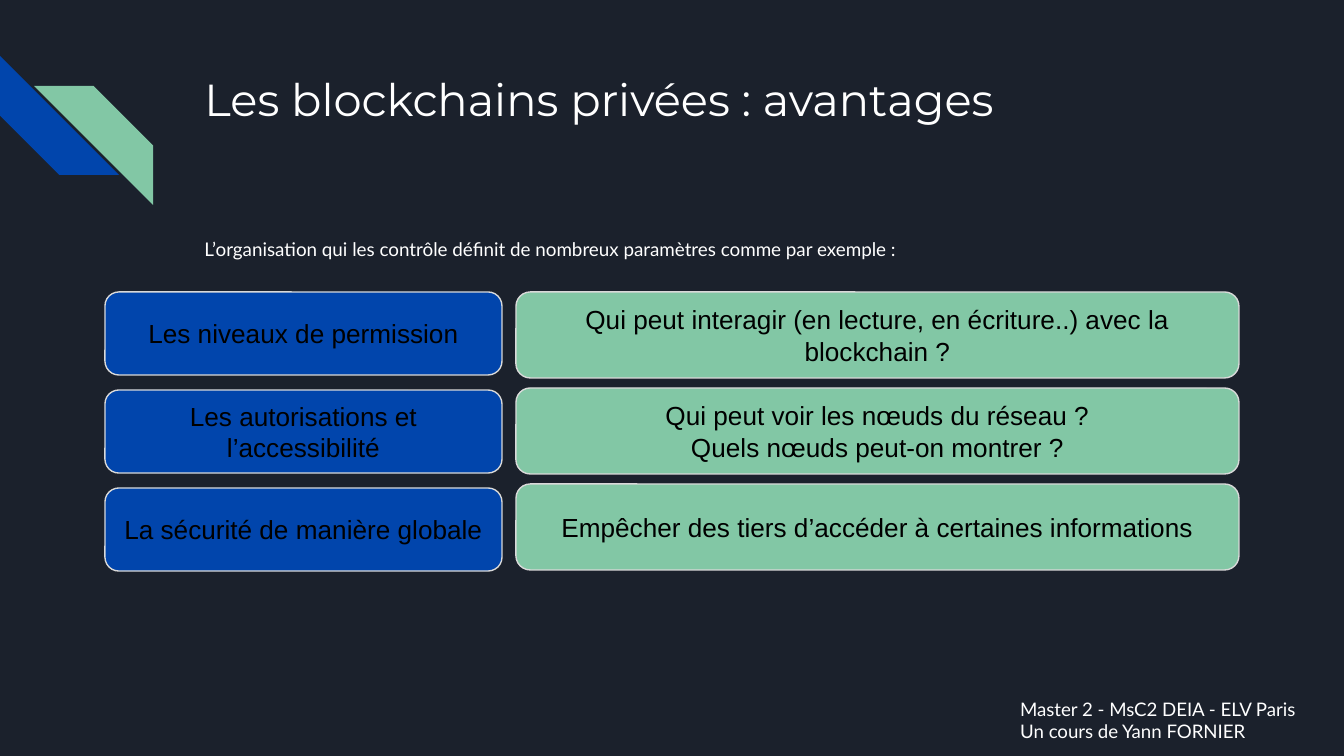
from dataclasses import dataclass

from pptx import Presentation
from pptx.dml.color import RGBColor
from pptx.enum.shapes import MSO_SHAPE as Shape
from pptx.enum.text import MSO_ANCHOR as Anchor, MSO_AUTO_SIZE as AutoSize, PP_ALIGN as Align
from pptx.oxml.ns import qn
from pptx.util import Emu, Pt

EMU_PER_PX = 914400 / 134.4
NAVY, BLUE, GREEN = "1B212C", "0145AC", "82C7A5"
WHITE, BLACK, GREY = "FFFFFF", "000000", "D9D9D9"


@dataclass
class Box:
    left: int
    top: int
    width: int
    height: int


@dataclass
class TextStyle:
    font: str
    size: float
    color: str
    align: Align = Align.LEFT
    anchor: Anchor = Anchor.TOP


@dataclass
class Column:
    left: int
    width: int
    height: int
    pitch: int
    color: str
    cards: list[str]


def px(length: int) -> Emu:
    return Emu(round(length * EMU_PER_PX))


def rgb(color: str) -> RGBColor:
    return RGBColor.from_string(color)


def emu(box: Box) -> tuple[Emu, Emu, Emu, Emu]:
    return px(box.left), px(box.top), px(box.width), px(box.height)


def place(placeholder, box: Box) -> None:
    placeholder.left, placeholder.top, placeholder.width, placeholder.height = emu(box)


def remove_bullet(paragraph) -> None:
    properties = paragraph._p.get_or_add_pPr()
    properties.set("marL", "0")
    properties.set("indent", "0")
    properties.append(properties.makeelement(qn("a:buNone"), {}))


def write(shape, text: str, style: TextStyle, auto_size: AutoSize = AutoSize.NONE) -> None:
    frame = shape.text_frame
    frame.text = text
    frame.word_wrap = True
    frame.auto_size = auto_size
    frame.vertical_anchor = style.anchor
    frame.margin_left = frame.margin_right = Pt(7.2)
    frame.margin_top = frame.margin_bottom = Pt(7.2)
    for paragraph in frame.paragraphs:
        remove_bullet(paragraph)
        paragraph.alignment = style.align
        paragraph.font.name = style.font
        paragraph.font.size = Pt(style.size)
        paragraph.font.color.rgb = rgb(style.color)


def add_filled(slide, kind: Shape, box: Box, color: str):
    shape = slide.shapes.add_shape(kind, *emu(box))
    shape.shadow.inherit = False
    shape.fill.solid()
    shape.fill.fore_color.rgb = rgb(color)
    return shape


def add_stripe(slide, box: Box, color: str, rotation: int) -> None:
    stripe = add_filled(slide, Shape.DIAGONAL_STRIPE, box, color)
    stripe.line.fill.background()
    stripe.rotation = rotation


def add_column(slide, column: Column, top: int, style: TextStyle) -> None:
    for row, text in enumerate(column.cards):
        box = Box(column.left, top + row * column.pitch, column.width, column.height)
        card = add_filled(slide, Shape.ROUNDED_RECTANGLE, box, column.color)
        card.line.color.rgb = rgb(GREY)
        card.line.width = Pt(0.75)
        write(card, text, style)


def main() -> None:
    prs = Presentation()
    prs.slide_width, prs.slide_height = px(1344), px(756)
    slide = prs.slides.add_slide(prs.slide_layouts[1])
    slide.background.fill.solid()
    slide.background.fill.fore_color.rgb = rgb(NAVY)

    # Corner stripes
    add_stripe(slide, Box(0, 56, 119, 119), BLUE, 270)
    add_stripe(slide, Box(34, 86, 119, 119), GREEN, 90)

    # Title
    title = slide.shapes.title
    place(title, Box(191, 58, 1035, 134))
    write(title, "Les blockchains privées : avantages", TextStyle("Montserrat", 24, WHITE))

    # Introduction
    intro = slide.placeholders[1]
    place(intro, Box(191, 226, 1035, 73))
    write(
        intro,
        "L’organisation qui les contrôle définit de nombreux paramètres comme par exemple :",
        TextStyle("Lato", 10.1, WHITE),
    )
    intro_line = intro.text_frame.paragraphs[0]
    intro_line.line_spacing = 0.95
    intro_line.space_before, intro_line.space_after = Pt(0), Pt(12)

    # Parameters on the left, what they decide on the right
    card_style = TextStyle("Arial", 14, BLACK, Align.CENTER, Anchor.MIDDLE)
    parameters = Column(105, 397, 83, 98, BLUE, [
        "Les niveaux de permission",
        "Les autorisations et l’accessibilité",
        "La sécurité de manière globale",
    ])
    decisions = Column(516, 723, 86, 96, GREEN, [
        "Qui peut interagir (en lecture, en écriture..) avec la blockchain ?",
        "Qui peut voir les nœuds du réseau ?\nQuels nœuds peut-on montrer ?",
        "Empêcher des tiers d’accéder à certaines informations",
    ])
    for column in (parameters, decisions):
        add_column(slide, column, 292, card_style)

    # Course credit
    credit = slide.shapes.add_textbox(*emu(Box(1007, 684, 337, 72)))
    write(
        credit,
        "Master 2 - MsC2 DEIA - ELV Paris\nUn cours de Yann FORNIER",
        TextStyle("Lato", 10, WHITE),
        AutoSize.SHAPE_TO_FIT_TEXT,
    )

    prs.save("out.pptx")


if __name__ == "__main__":
    main()
